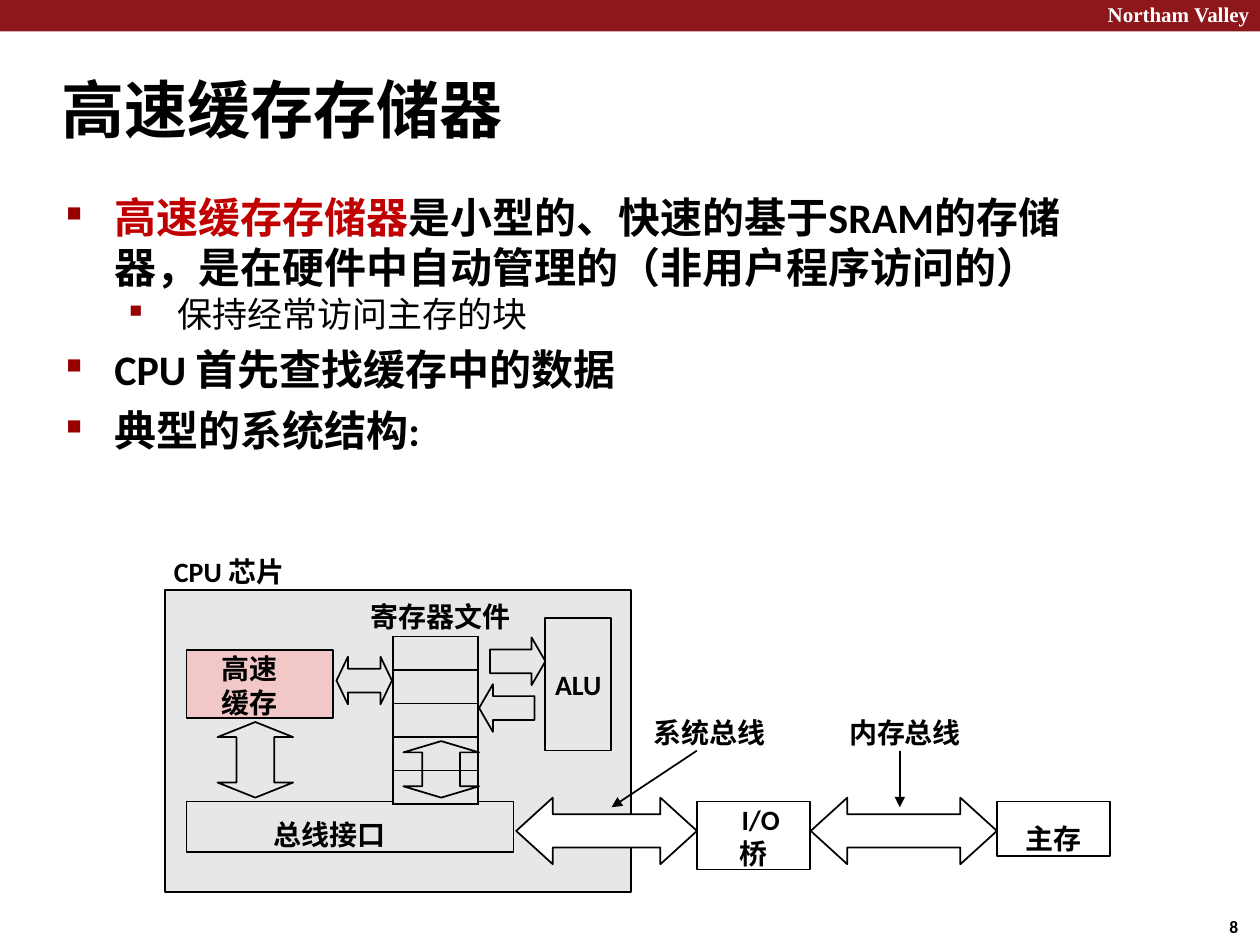
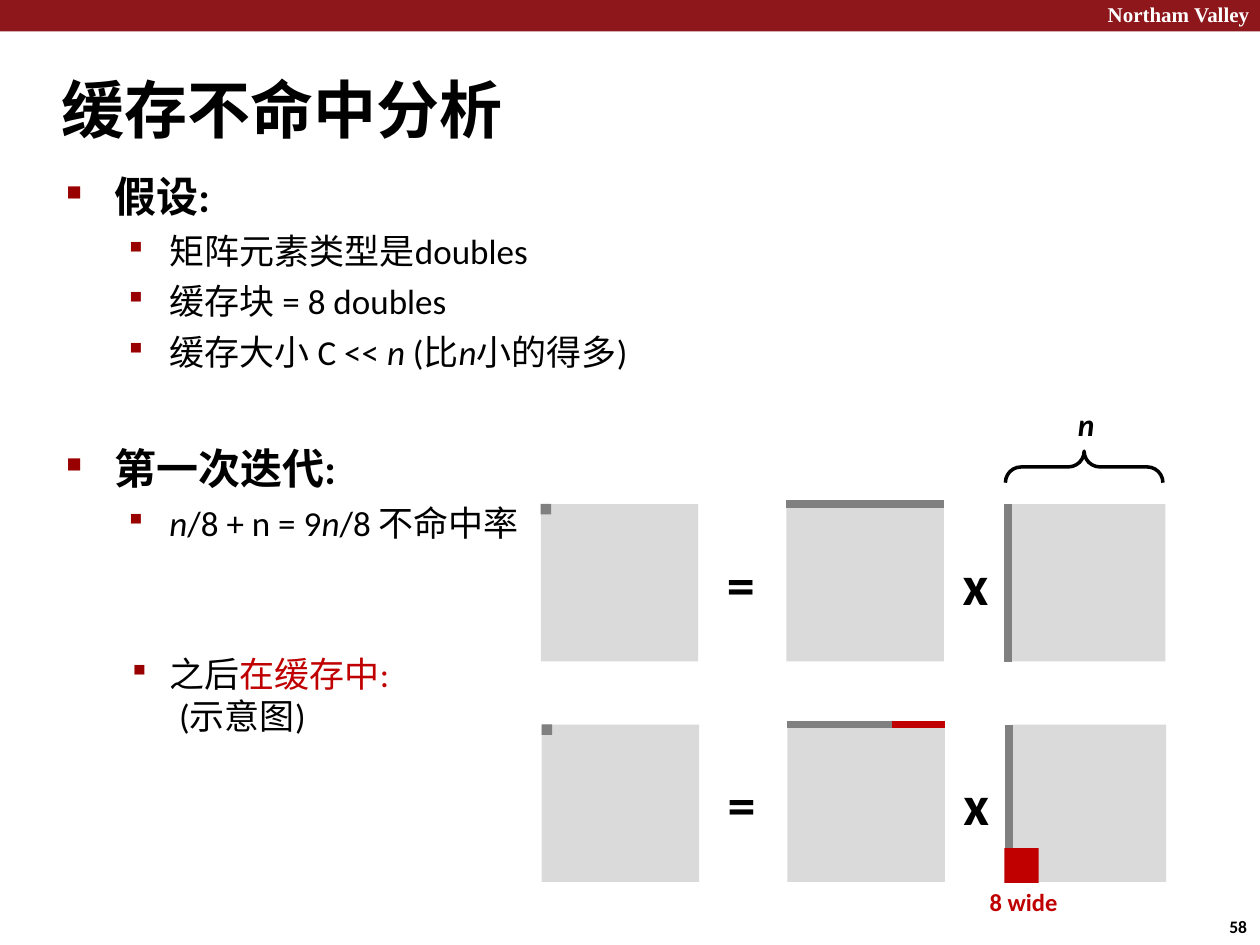
from lxml import etree
from pptx import Presentation
from pptx import util as u
from pptx.dml.color import RGBColor
from pptx.enum import shapes, text
from pptx.oxml.ns import qn

COLORS = {
    "band": "8D171A", "black": "000000", "white": "FFFFFF", "red": "C00000",
    "bullet": "990000", "chip": "E7E7E7", "cache": "F1C7C7",
    "matrix": "DADADA", "accessed": "808080",
}
FONT = "Calibri"
SHAPE = shapes.MSO_SHAPE
ALIGN = text.PP_ALIGN
ITALIC = {"italic": True}
RED = {"color": "red"}


def rgb(name):
    return RGBColor.from_string(COLORS[name])


def add_para(frame, spans, size=16, bold=False, color="black", font=FONT,
             align=ALIGN.LEFT, before=0, spacing=None, margin=0, indent=0,
             bullet=None, bullet_size=100):
    first = frame.paragraphs[0]
    para = frame.add_paragraph() if first.runs else first
    para.alignment = align
    para.space_before = u.Pt(before)
    if spacing:
        para.line_spacing = u.Pt(spacing)
    props = para._p.get_or_add_pPr()
    props.set("marL", str(u.Pt(margin)))
    props.set("indent", str(u.Pt(indent)))
    if bullet:
        tint = etree.SubElement(props, qn("a:buClr"))
        etree.SubElement(tint, qn("a:srgbClr"), val=COLORS["bullet"])
        etree.SubElement(props, qn("a:buSzPct"), val=str(bullet_size * 1000))
        etree.SubElement(props, qn("a:buChar"), char=bullet)
    for item in [spans] if isinstance(spans, str) else spans:
        words, style = (item, {}) if isinstance(item, str) else item
        span = para.add_run()
        span.text = words
        span.font.name = font
        span.font.size = u.Pt(size)
        span.font.bold = bold
        span.font.italic = style.get("italic", False)
        span.font.color.rgb = rgb(style.get("color", color))
    return para


def clear_insets(frame, top=0):
    frame.margin_left = frame.margin_right = frame.margin_bottom = 0
    frame.margin_top = u.Pt(top)


def add_box(page, left, top, width, height, wrap=False):
    box = page.shapes.add_textbox(*map(u.Pt, (left, top, width, height)))
    box.text_frame.word_wrap = wrap
    clear_insets(box.text_frame)
    return box.text_frame


def add_label(page, words, left, top, width, height, **style):
    add_para(add_box(page, left, top, width, height), words, **style)


def add_figure(page, kind, left, top, width, height, fill=None, line=None,
               weight=1, adjust=(), inset=0):
    figure = page.shapes.add_shape(kind, *map(u.Pt, (left, top, width, height)))
    figure.shadow.inherit = False
    if fill:
        figure.fill.solid()
        figure.fill.fore_color.rgb = rgb(fill)
    else:
        figure.fill.background()
    if line:
        figure.line.color.rgb = rgb(line)
        figure.line.width = u.Pt(weight)
    else:
        figure.line.fill.background()
    for index, value in enumerate(adjust):
        figure.adjustments[index] = value
    figure.text_frame.vertical_anchor = text.MSO_ANCHOR.TOP
    clear_insets(figure.text_frame, inset)
    return figure


def add_upright(page, kind, left, top, width, height, **style):
    shift = (width - height) / 2
    figure = add_figure(page, kind, left + shift, top - shift, height, width,
                        **style)
    figure.rotation = 90


def add_block(page, left, top, width, height, fill=None, inset=0):
    block = add_figure(page, SHAPE.RECTANGLE, left, top, width, height,
                       fill, "black", inset=inset)
    return block.text_frame


def add_line(page, x1, y1, x2, y2, color="black", weight=1, arrow=False):
    line = page.shapes.add_connector(
        shapes.MSO_CONNECTOR.STRAIGHT, *map(u.Pt, (x1, y1, x2, y2)))
    line.line.color.rgb = rgb(color)
    line.line.width = u.Pt(weight)
    if arrow:
        etree.SubElement(line.line._get_or_add_ln(), qn("a:tailEnd"),
                         type="triangle", w="med", len="med")
    etree.SubElement(line._element.spPr, qn("a:effectLst"))


def add_registers(page, left, top, width, row_height, count):
    frame = page.shapes.add_table(
        count, 1, *map(u.Pt, (left, top, width, row_height * count)))
    table = frame.table
    table.first_row = table.horz_banding = False
    for row in table.rows:
        row.height = u.Pt(row_height)
        cell = row.cells[0]
        cell.margin_left = cell.margin_right = 0
        cell.margin_top = cell.margin_bottom = 0
        etree.SubElement(cell.text_frame.paragraphs[0]._p,
                         qn("a:endParaRPr"), sz="1000")
        props = cell._tc.get_or_add_tcPr()
        for side in "LRTB":
            border = etree.SubElement(props, qn(f"a:ln{side}"), w=str(u.Pt(1)))
            paint = etree.SubElement(border, qn("a:solidFill"))
            etree.SubElement(paint, qn("a:srgbClr"), val=COLORS["black"])
        cell.fill.solid()
        cell.fill.fore_color.rgb = rgb("chip")


def add_page(deck, title, number):
    page = deck.slides.add_slide(deck.slide_layouts[6])
    add_figure(page, SHAPE.RECTANGLE, 0, 0, 720, 18, "band")
    add_label(page, "Northam Valley", 626, 1, 88, 16, size=12, bold=True,
              color="white", font="Times New Roman", align=ALIGN.RIGHT)
    add_label(page, title, 35, 40.3, 300, 44, size=36, bold=True)
    add_label(page, str(number), 702.5, 525, 14, 12, size=10, bold=True,
              spacing=10.4)
    return page


def add_topic(frame, spans, before=0, spacing=None):
    add_para(frame, spans, size=24, bold=True, before=before, spacing=spacing,
             margin=28, indent=-27.4, bullet="■", bullet_size=50)


def add_detail(frame, spans, before=4.9, margin=59.4):
    add_para(frame, spans, size=20, before=before, margin=margin,
             indent=-25.5, bullet="▪", bullet_size=85)


def draw_cpu_chip(page):
    add_block(page, 94.3, 337, 266.4, 172.8, "chip")
    add_label(page, "CPU 芯片", 99.4, 316.8, 68, 20, bold=True)
    add_label(page, "寄存器文件", 211.7, 342.7, 84, 20, bold=True)

    bus_interface = add_block(page, 106.5, 458, 187, 28.8, "chip", 9.4)
    add_para(bus_interface, "总线接口", bold=True, margin=49.7)
    add_registers(page, 224.6, 363.6, 48.6, 19.2, 5)
    alu = add_block(page, 311.5, 353.3, 37.8, 75.6, "chip")
    alu.vertical_anchor = text.MSO_ANCHOR.MIDDLE
    add_para(alu, "ALU", bold=True, align=ALIGN.CENTER)
    cache = add_block(page, 106.5, 371.5, 84, 39, "cache", 0.7)
    for word in ("高速", "缓存"):
        add_para(cache, word, bold=True, margin=20, spacing=19.2, before=0.4)

    for kind, left, top, head in (
            (SHAPE.RIGHT_ARROW, 280, 364.3, 0.29),
            (SHAPE.LEFT_ARROW, 273.8, 391, 0.29),
            (SHAPE.LEFT_RIGHT_ARROW, 192.3, 375.3, 0.24)):
        add_figure(page, kind, left, top, 31.7, 27.2, line="black",
                   adjust=(0.5, head))
    for left, top, height in ((230.5, 423.5, 32.3), (124.3, 412.6, 43.2)):
        add_upright(page, SHAPE.LEFT_RIGHT_ARROW, left, top, 43.2, height,
                    line="black", adjust=(0.5, 0.2))


def draw_buses(page):
    memory = add_block(page, 569.7, 458, 64.8, 31, inset=11.5)
    add_para(memory, "主存", bold=True, align=ALIGN.CENTER)
    bridge = add_block(page, 398.3, 458, 64.8, 38.9, inset=0.7)
    for word, indent in (("I/O", 8), ("桥", 0)):
        add_para(bridge, word, bold=True, align=ALIGN.CENTER, spacing=19.2,
                 indent=indent)
    for left, right in ((295, 398.3), (463.3, 569.7)):
        add_figure(page, SHAPE.LEFT_RIGHT_ARROW, left, 455.8, right - left, 38,
                   "white", "black", adjust=(0.5, 0.55))
    for words, left, start, end in (("系统总线", 373.7, 398.2, 349.5),
                                    ("内存总线", 485.3, 514.2, 514.2)):
        add_label(page, words, left, 409, 66, 20, bold=True)
        add_line(page, start, 429, end, 461.3, arrow=True)


def build_cache_memory(deck):
    page = add_page(deck, "高速缓存存储器", 8)
    body = add_box(page, 37.4, 109.4, 577.5, 152, wrap=True)
    add_topic(body, [("高速缓存存储器", RED),
                     "是小型的、快速的基于SRAM的存储器，"
                     "是在硬件中自动管理的（非用户程序访问的）"])
    add_para(body, "保持经常访问主存的块", size=20, margin=64, indent=-27.4,
             bullet="■", bullet_size=50)
    add_topic(body, "CPU 首先查找缓存中的数据", before=5.5)
    add_topic(body, "典型的系统结构:", before=5.8)
    draw_cpu_chip(page)
    draw_buses(page)


def draw_product(page, left, top):
    side = 90
    second, third = left + 140.4, left + 267
    add_figure(page, SHAPE.RECTANGLE, left, top, side, side, "matrix")
    add_figure(page, SHAPE.RECTANGLE, left, top, 6, 6, "accessed")
    add_figure(page, SHAPE.RECTANGLE, second, top + 2, side, side - 2, "matrix")
    add_figure(page, SHAPE.RECTANGLE, third + 2, top, side - 2, side, "matrix")
    add_line(page, second, top, second + side, top, "accessed", 4.5)
    add_line(page, third, top, third, top + side, "accessed", 4.5)
    for sign, offset in (("=", 106.3), ("x", 241)):
        add_label(page, sign, left + offset, top + 26, 18, 41, size=32,
                  bold=True)


def build_miss_analysis(deck):
    page = add_page(deck, "缓存不命中分析", 58)
    body = add_box(page, 37.4, 97.2, 588, 215, wrap=True)
    add_topic(body, "假设:")
    add_detail(body, "矩阵元素类型是doubles")
    add_detail(body, "缓存块 = 8 doubles")
    add_detail(body, ["缓存大小 C << ", ("n ", ITALIC), "(比", ("n", ITALIC),
                      "小的得多)"])
    add_para(body, [("n", ITALIC)], size=18, bold=True, align=ALIGN.RIGHT,
             before=18.5, spacing=21.6)
    add_topic(body, "第一次迭代:", spacing=28.8)
    add_detail(body, [("n", ITALIC), "/8 + n = 9", ("n", ITALIC),
                      "/8 不命中率"])

    after = add_box(page, 73.4, 373, 192, 48)
    add_detail(after, ["之后", ("在缓存中:", RED)], before=0, margin=23.4)
    add_para(after, "(示意图)", size=20, margin=29)

    for left, top in ((309, 288), (309.5, 414)):
        draw_product(page, left, top)
    add_upright(page, SHAPE.LEFT_BRACE, 574.5, 257.8, 90, 18,
                line="black", weight=2, adjust=(0.5, 0.5))
    add_line(page, 509.8, 414, 540, 414, "red", 4.5)
    add_figure(page, SHAPE.RECTANGLE, 574, 484.6, 19.5, 20, "red")
    add_label(page, "8 wide", 565.5, 507, 41, 18.7, size=14, bold=True,
              color="red")


def main():
    deck = Presentation()
    deck.slide_width = u.Pt(720)
    deck.slide_height = u.Pt(540)
    build_cache_memory(deck)
    build_miss_analysis(deck)
    deck.save("out.pptx")


if __name__ == "__main__":
    main()
